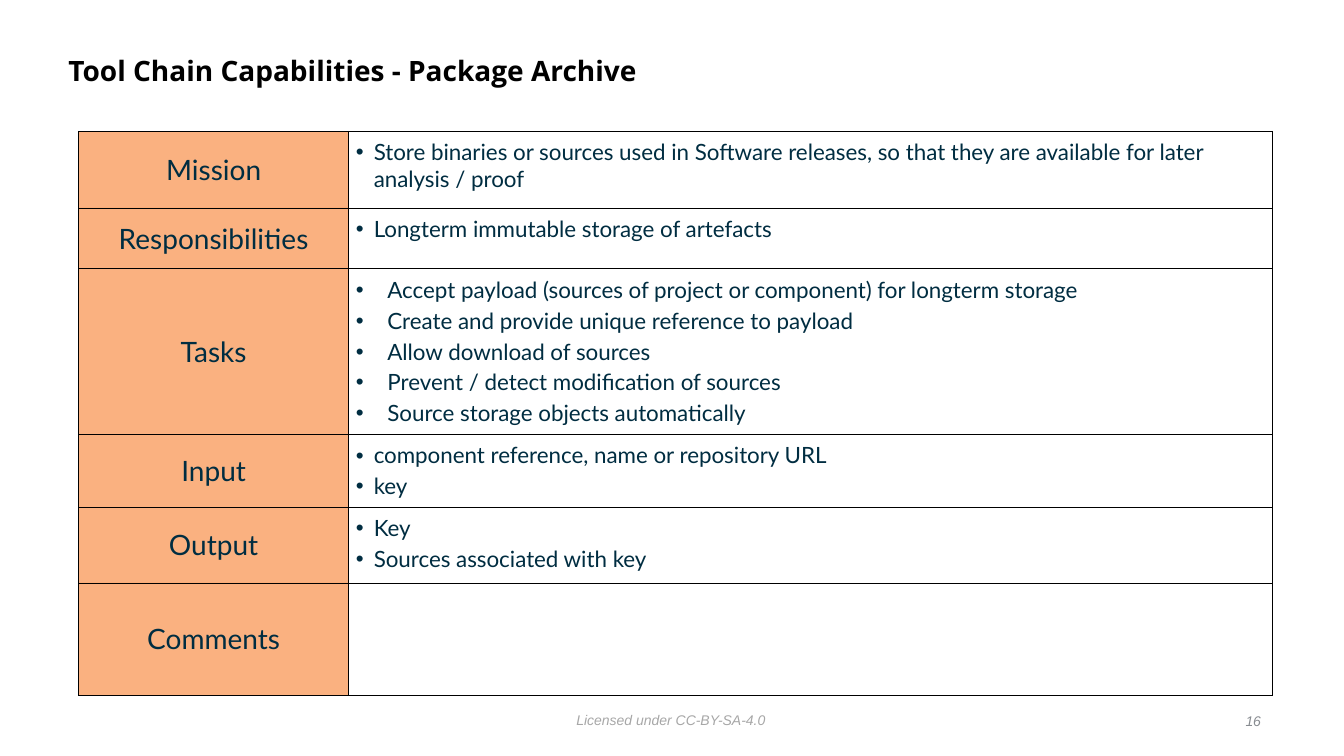
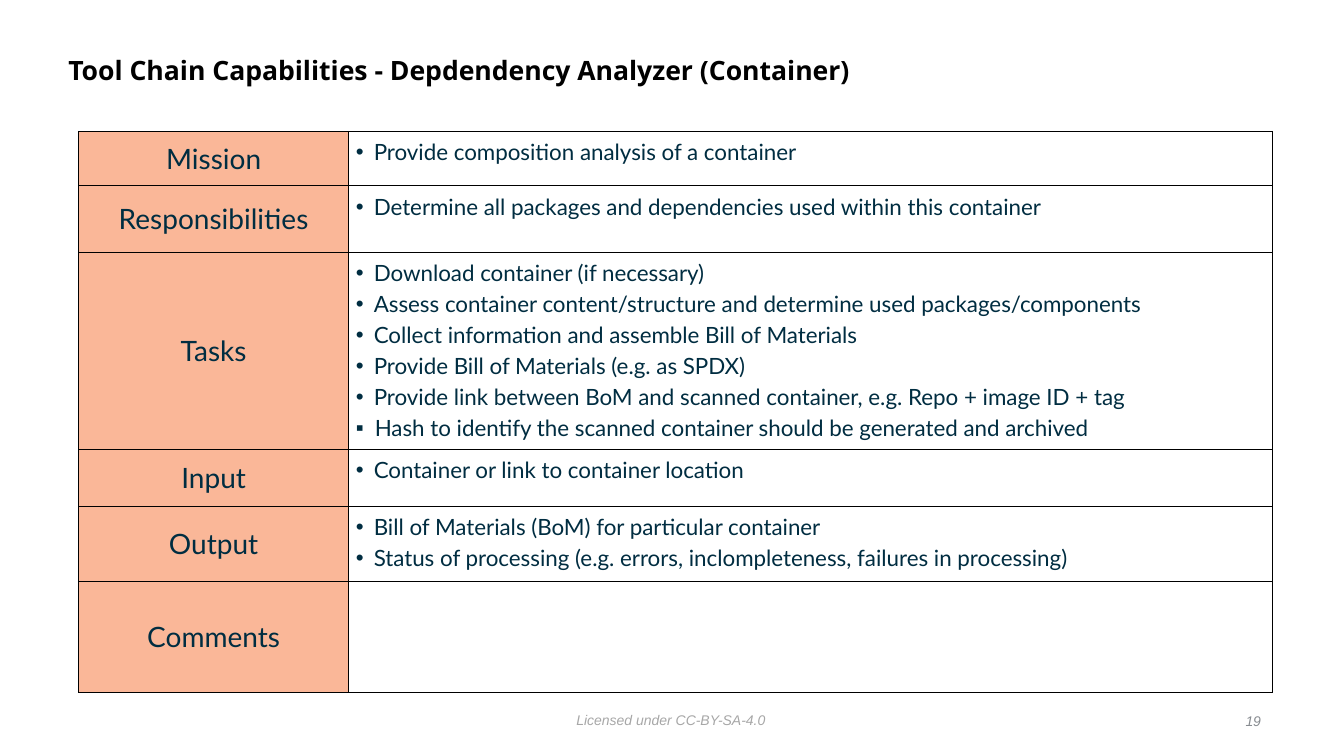
from lxml import etree
from pptx import Presentation
from pptx.dml.color import RGBColor
from pptx.enum.text import MSO_ANCHOR, MSO_AUTO_SIZE, PP_ALIGN
from pptx.oxml.ns import qn
from pptx.util import Pt

PX = 9525
BLACK = RGBColor(0x00, 0x00, 0x00)
NAVY = RGBColor(0x00, 0x2D, 0x41)
ORANGE = RGBColor(0xF6, 0x65, 0x03)
PEACH = RGBColor(0xFA, 0xB7, 0x98)
FOOTER_GREY = RGBColor(0xA7, 0xA7, 0xA7)
NUMBER_GREY = RGBColor(0x88, 0x8C, 0x91)
LEFT, CENTER, RIGHT = PP_ALIGN.LEFT, PP_ALIGN.CENTER, PP_ALIGN.RIGHT
TOP, MIDDLE = MSO_ANCHOR.TOP, MSO_ANCHOR.MIDDLE
FIT_SHAPE = MSO_AUTO_SIZE.SHAPE_TO_FIT_TEXT

TITLE_BOX = (60, 38, 1032, 62)
TABLE_BOX = (75, 125, 1137)
FOOTER_BOX = (544, 673, 191, 24)
NUMBER_BOX = (1166, 675, 40, 24)
LABEL_WIDTH = 257
BOX_INSET = 5
CELL_INSET = 7
LABELS = ("Mission", "Responsibilities", "Tasks", "Input", "Output", "Comments")
DOT, WIDE_DOT, SQUARE = ("•", 17), ("•", 30), ("▪", 18)

ARCHIVE = dict(
    title="Tool Chain Capabilities - Package Archive",
    title_size=20, number="16", fill=ORANGE, opacity=50,
    heights=(73, 58, 157, 68, 72, 107),
    rows=(
        [(DOT, "Store binaries or sources used in Software releases, so that they "
               "are available for later analysis / proof")],
        [(DOT, "Longterm immutable storage of artefacts")],
        [(WIDE_DOT, "Accept payload (sources of project or component) for longterm storage"),
         (WIDE_DOT, "Create and provide unique reference to payload"),
         (WIDE_DOT, "Allow download of sources"),
         (WIDE_DOT, "Prevent / detect modification of sources"),
         (WIDE_DOT, "Source storage objects automatically")],
        [(DOT, "component reference, name or repository URL"),
         (DOT, "key")],
        [(DOT, "Key"),
         (DOT, "Sources associated with key")],
        [],
    ),
)
ANALYZER = dict(
    title="Tool Chain Capabilities - Depdendency Analyzer (Container)",
    title_size=19, number="19", fill=PEACH, opacity=100,
    heights=(52, 63, 187, 55, 71, 106),
    rows=(
        [(DOT, "Provide composition analysis of a container")],
        [(DOT, "Determine all packages and dependencies used within this container")],
        [(DOT, "Download container (if necessary)"),
         (DOT, "Assess container content/structure and determine used packages/components"),
         (DOT, "Collect information and assemble Bill of Materials"),
         (DOT, "Provide Bill of Materials (e.g. as SPDX)"),
         (DOT, "Provide link between BoM and scanned container, e.g. Repo + image ID + tag"),
         (SQUARE, "Hash to identify the scanned container should be generated and archived")],
        [(DOT, "Container or link to container location")],
        [(DOT, "Bill of Materials (BoM) for particular container"),
         (DOT, "Status of processing (e.g. errors, inclompleteness, failures in processing)")],
        [],
    ),
)


def write(tf, text, size, color, font="Lato", bold=False, italic=False,
          align=LEFT, bullet=None, first=True, spacing=None):
    p = tf.paragraphs[0] if first else tf.add_paragraph()
    p.alignment = align
    if bullet:
        mark, indent = bullet
        pPr = p._p.get_or_add_pPr()
        pPr.set("marL", str(indent * PX))
        pPr.set("indent", str(-indent * PX))
        etree.SubElement(pPr, qn("a:buFont"), typeface="Arial")
        etree.SubElement(pPr, qn("a:buChar"), char=mark)
    if not first:
        p.space_before = Pt(3)
    if spacing:
        p.line_spacing = spacing
    r = p.add_run()
    r.text = text
    r.font.name, r.font.size = font, Pt(size)
    r.font.bold, r.font.italic = bold, italic
    r.font.color.rgb = color


def set_margins(target, inset):
    target.margin_left = target.margin_right = inset * PX
    target.margin_top = target.margin_bottom = inset * PX


def add_box(s, box, text, size, color, anchor=MIDDLE, wrap=True, **style):
    tf = s.shapes.add_textbox(*(v * PX for v in box)).text_frame
    tf.word_wrap = wrap
    if not wrap:
        tf.auto_size = FIT_SHAPE
    set_margins(tf, BOX_INSET)
    tf.vertical_anchor = anchor
    write(tf, text, size, color, **style)


def add_borders(cell):
    tcPr = cell._tc.get_or_add_tcPr()
    for i, side in enumerate(("lnL", "lnR", "lnT", "lnB")):
        ln = etree.Element(qn(f"a:{side}"), w=str(Pt(0.5)))
        fill = etree.SubElement(ln, qn("a:solidFill"))
        etree.SubElement(fill, qn("a:srgbClr"), val=str(BLACK))
        tcPr.insert(i, ln)


def fill_label(cell, text, color, opacity):
    set_margins(cell, 0)
    cell.vertical_anchor = MIDDLE
    cell.fill.solid()
    cell.fill.fore_color.rgb = color
    if opacity < 100:
        clr = cell._tc.tcPr.find(".//" + qn("a:srgbClr"))
        etree.SubElement(clr, qn("a:alpha"), val=str(opacity * 1000))
    write(cell.text_frame, text, 20, NAVY, align=CENTER)
    add_borders(cell)


def fill_details(cell, items):
    set_margins(cell, CELL_INSET)
    cell.vertical_anchor = TOP
    cell.fill.background()
    for i, (bullet, text) in enumerate(items):
        write(cell.text_frame, text, 16, NAVY, bullet=bullet, first=i == 0)
    add_borders(cell)


def add_capability_table(s, box, rows, heights, fill, opacity):
    x, y, w = box
    table = s.shapes.add_table(len(rows), 2, x * PX, y * PX, w * PX,
                               sum(heights) * PX).table
    table.first_row = table.horz_banding = False
    table.columns[0].width = LABEL_WIDTH * PX
    table.columns[1].width = (w - LABEL_WIDTH) * PX
    for i, (label, items, height) in enumerate(zip(LABELS, rows, heights)):
        table.rows[i].height = height * PX
        fill_label(table.cell(i, 0), label, fill, opacity)
        fill_details(table.cell(i, 1), items)


def add_footer(s, number):
    add_box(s, FOOTER_BOX, "Licensed under CC-BY-SA-4.0", 10, FOOTER_GREY,
            anchor=TOP, wrap=False, font="Arial", italic=True)
    add_box(s, NUMBER_BOX, number, 10, NUMBER_GREY,
            font="Arial", italic=True, align=RIGHT)


def add_capability_slide(prs, title, title_size, number, **table):
    s = prs.slides.add_slide(prs.slide_layouts[6])
    add_box(s, TITLE_BOX, title, title_size, BLACK,
            font="Open Sans", bold=True, spacing=0.9)
    add_capability_table(s, TABLE_BOX, **table)
    add_footer(s, number)


def main():
    prs = Presentation()
    prs.slide_width, prs.slide_height = 1280 * PX, 720 * PX
    for content in (ARCHIVE, ANALYZER):
        add_capability_slide(prs, **content)
    prs.save("out.pptx")


if __name__ == "__main__":
    main()
